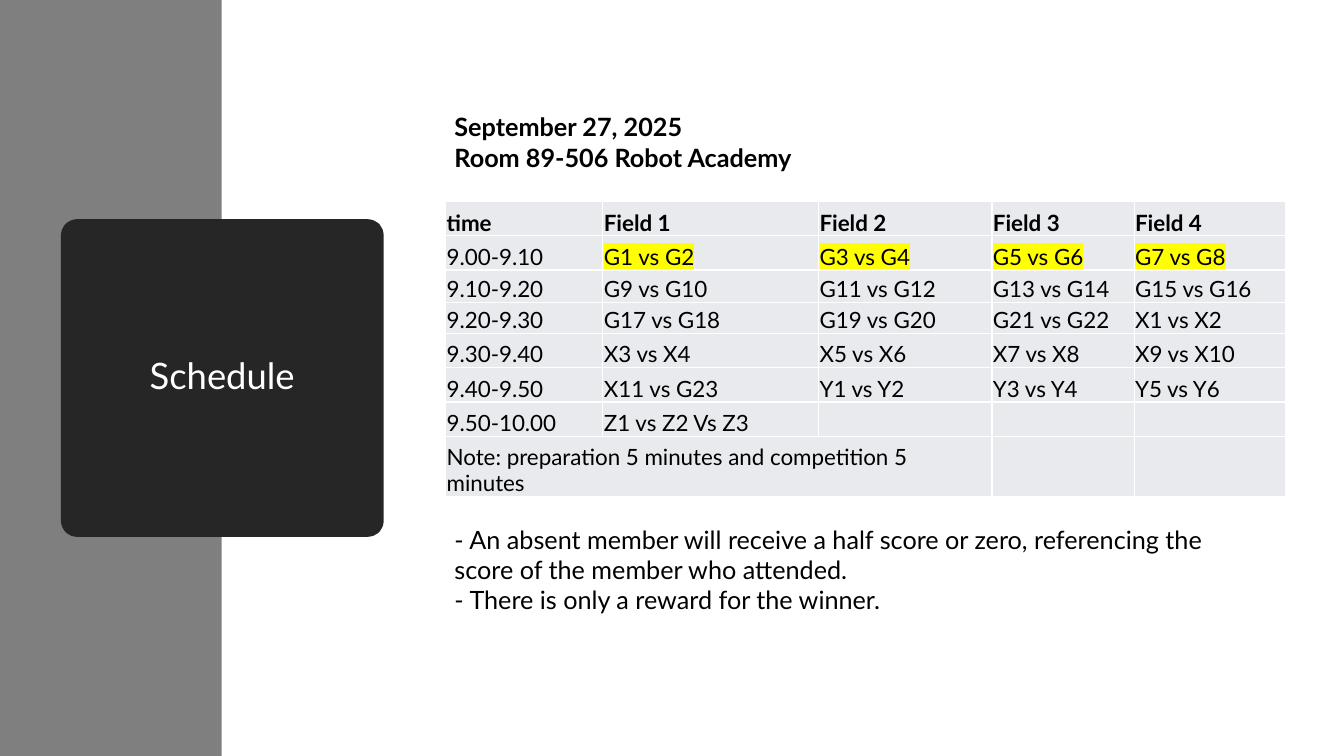
from lxml.etree import SubElement
from pptx import Presentation
from pptx.dml.color import RGBColor
from pptx.enum.shapes import MSO_SHAPE as Shape
from pptx.enum.text import MSO_ANCHOR as Anchor, PP_ALIGN as Align
from pptx.oxml import parse_xml
from pptx.oxml.ns import nsdecls, qn
from pptx.util import Inches, Pt

WIDTH, HEIGHT = Inches(13.33), Inches(7.5)
FONT = "Lato"
COLORS = {
    "band": "7F7F7F",
    "title": "262626",
    "cell": "E8EAED",
    "white": "FFFFFF",
    "black": "000000",
    "marker": "FFFF00",
}
HEADER = ["time", "Field 1", "Field 2", "Field 3", "Field 4"]
MATCHES = [
    ["9.00-9.10", "G1 vs G2", "G3 vs G4", "G5 vs G6", "G7 vs G8"],
    ["9.10-9.20", "G9 vs G10", "G11 vs G12", "G13 vs G14", "G15 vs G16"],
    ["9.20-9.30", "G17 vs G18", "G19 vs G20", "G21 vs G22", "X1 vs X2"],
    ["9.30-9.40", "X3 vs X4", "X5 vs X6", "X7 vs X8", "X9 vs X10"],
    ["9.40-9.50", "X11 vs G23", "Y1 vs Y2", "Y3 vs Y4", "Y5 vs Y6"],
    ["9.50-10.00", "Z1 vs Z2 Vs Z3", "", "", ""],
]
NOTE = ["Note: preparation 5 minutes and competition 5 minutes", "", "", "", ""]
COLUMN_SHARES = [11.7, 16.05, 12.9, 10.58, 11.25]
ROW_SHARES = [4.53, 4.53, 4.27, 4.13, 4.53, 4.53, 4.53, 8]


def across(percent):
    return int(WIDTH * percent / 100)


def down(percent):
    return int(HEIGHT * percent / 100)


def area(left, top, width, height):
    """Turn percentages of the slide into a position and size."""
    return across(left), down(top), across(width), down(height)


def color(name):
    return RGBColor.from_string(COLORS[name])


def format_text(frame, size, color_name="black", bold=False):
    for para in frame.paragraphs:
        for span in para.runs:
            span.font.size = Pt(size)
            span.font.bold = bold
            span.font.color.rgb = color(color_name)
            span.font.name = FONT


def add_block(page, kind, place, fill):
    block = page.shapes.add_shape(kind, *area(*place))
    block.shadow.inherit = False
    block.fill.solid()
    block.fill.fore_color.rgb = color(fill)
    block.line.fill.background()
    return block


def add_title(page, text):
    block = add_block(page, Shape.ROUNDED_RECTANGLE, (5.25, 30.27, 22.58, 39.47), "title")
    block.adjustments[0] = 0.02
    block.line.color.rgb = color("title")
    block.line.width = Pt(13.75)
    frame = block.text_frame
    frame.text = text
    frame.vertical_anchor = Anchor.MIDDLE
    frame.paragraphs[0].alignment = Align.CENTER
    frame.paragraphs[0].line_spacing = 0.9
    format_text(frame, 26, "white")


def add_text(page, place, lines, bold=False, wrap=True):
    box = page.shapes.add_textbox(*area(*place))
    frame = box.text_frame
    frame.word_wrap = wrap
    frame.text = "\n".join(lines)
    format_text(frame, 18, bold=bold)


def add_borders(cell):
    properties = cell._tc.get_or_add_tcPr()
    for index, side in enumerate(["lnL", "lnR", "lnT", "lnB"]):
        properties.insert(index, parse_xml(
            f'<a:{side} {nsdecls("a")} w="12700"><a:solidFill>'
            f'<a:srgbClr val="{COLORS["white"]}"/></a:solidFill></a:{side}>'))


def highlight(span):
    """Put the marker colour between the fill and the font of a run."""
    properties = span.font._element
    marker = SubElement(properties, qn("a:highlight"))
    SubElement(marker, qn("a:srgbClr")).set("val", COLORS["marker"])
    properties.find(qn("a:solidFill")).addnext(marker)


def fill_cell(cell, text, bold, marked):
    cell.margin_left = cell.margin_right = cell.margin_top = Inches(0.01)
    cell.margin_bottom = 0
    cell.vertical_anchor = Anchor.BOTTOM
    cell.fill.solid()
    cell.fill.fore_color.rgb = color("cell")
    add_borders(cell)
    if text:
        cell.text_frame.text = text
        format_text(cell.text_frame, 16, bold=bold)
        if marked:
            highlight(cell.text_frame.paragraphs[0].runs[0])


def add_schedule(page):
    rows = [HEADER, *MATCHES, NOTE]
    place = area(33.16, 26.67, sum(COLUMN_SHARES), sum(ROW_SHARES))
    table = page.shapes.add_table(len(rows), len(HEADER), *place).table
    for column, share in zip(table.columns, COLUMN_SHARES):
        column.width = across(share)
    for row, share in zip(table.rows, ROW_SHARES):
        row.height = down(share)
    for row_index, texts in enumerate(rows):
        for column_index, text in enumerate(texts):
            fill_cell(table.cell(row_index, column_index), text,
                      bold=row_index == 0,
                      marked=row_index == 1 and column_index > 0)
    last = len(rows) - 1
    table.cell(last, 0).merge(table.cell(last, 2))


def main():
    deck = Presentation()
    deck.slide_width, deck.slide_height = WIDTH, HEIGHT
    page = deck.slides.add_slide(deck.slide_layouts[6])
    add_block(page, Shape.RECTANGLE, (0, 0, 16.5, 100), "band")
    add_title(page, "Schedule")
    add_schedule(page)
    add_text(page, (33.08, 14.13, 26.93, 9.47),
             ["September 27, 2025", "Room 89-506 Robot Academy"],
             bold=True, wrap=False)
    add_text(page, (33.08, 68.67, 57.31, 13.47), [
        "- An absent member will receive a half score or zero, "
        "referencing the score of the member who attended.",
        "- There is only a reward for the winner.",
    ])
    deck.save("out.pptx")


if __name__ == "__main__":
    main()
